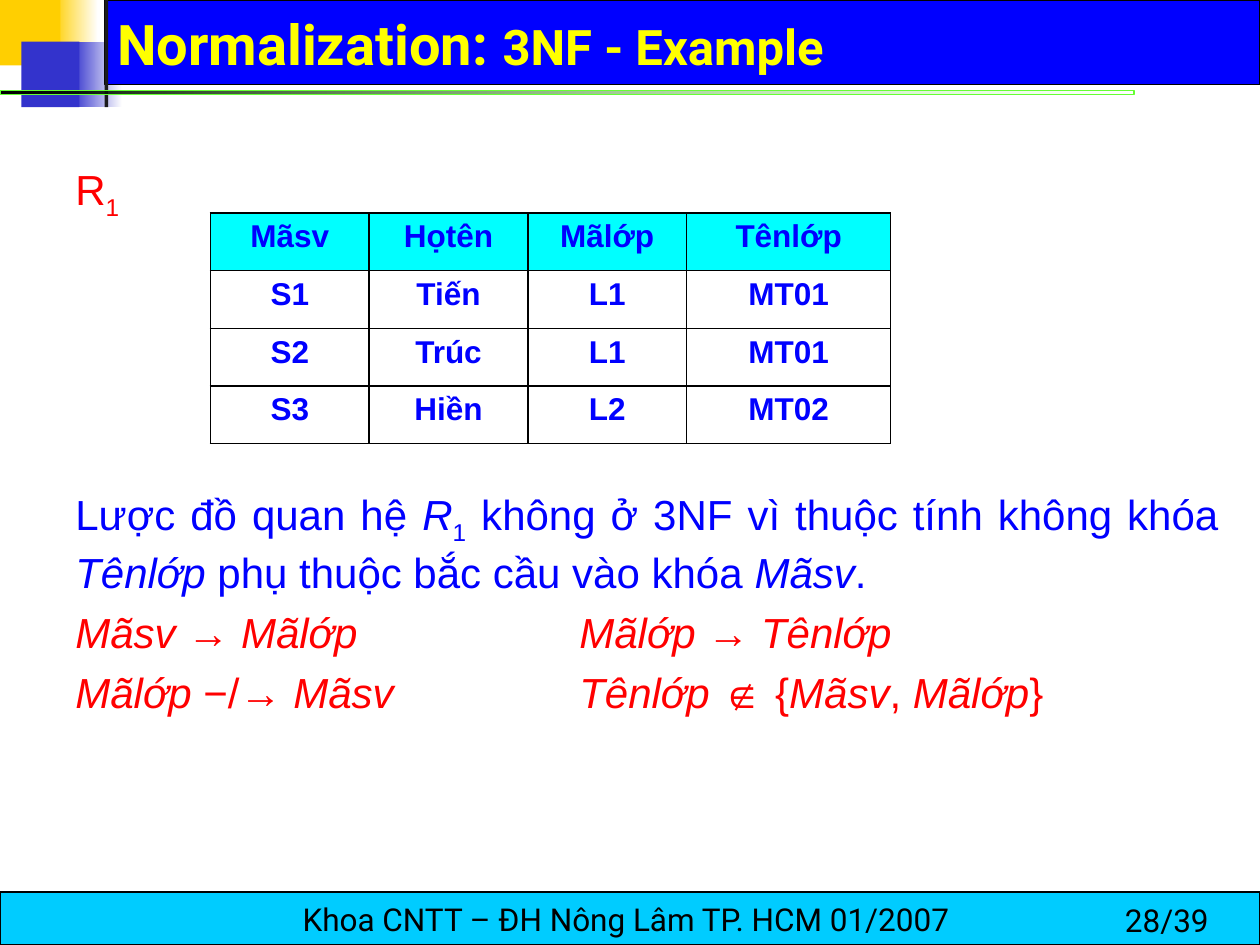
from dataclasses import dataclass
from lxml import etree
from pptx import Presentation
from pptx.dml.color import RGBColor
from pptx.enum.shapes import MSO_SHAPE
from pptx.enum.text import MSO_ANCHOR, PP_ALIGN
from pptx.oxml.ns import qn
from pptx.util import Inches, Pt

RECT = MSO_SHAPE.RECTANGLE
LEFT, MID, JUST = PP_ALIGN.LEFT, PP_ALIGN.CENTER, PP_ALIGN.JUSTIFY
LOW, HALF = MSO_ANCHOR.BOTTOM, MSO_ANCHOR.MIDDLE


@dataclass(frozen=True)
class Theme:
    gold: str = "FFCF01"
    navy: str = "3333CC"
    blue: str = "0000FF"
    cyan: str = "00FFFF"
    sky: str = "00CCFF"
    lime: str = "66FF33"
    red: str = "FF0000"
    yellow: str = "FFFF00"
    ink: str = "1C1C1C"
    black: str = "000000"
    white: str = "FFFFFF"
    head: str = "Roboto"
    body: str = "Arial"
    large: int = 32
    medium: int = 28
    normal: int = 24
    small: int = 18


T = Theme()


def rgb(code):
    return RGBColor.from_string(code)


def add_run(para, text, size, color, face, bold=False, style=""):
    """Add one run; style may hold i for italic and s for subscript."""
    run = para.add_run()
    run.text = text
    font = run.font
    font.size, font.name, font.bold = Pt(size), face, bold
    font.italic = "i" in style
    font.color.rgb = rgb(color)
    if "s" in style:
        run._r.get_or_add_rPr().set("baseline", "-25000")


def add_rect(slide, box, fill, fade=None, line=None, width=0.75):
    shape = slide.shapes.add_shape(RECT, *map(Inches, box))
    shape.shadow.inherit = False
    if fade:
        shape.fill.gradient()
        shape.fill.gradient_angle = 0
        for stop, code in zip(shape.fill.gradient_stops, (fill, fade)):
            stop.color.rgb = rgb(code)
    else:
        shape.fill.solid()
        shape.fill.fore_color.rgb = rgb(fill)
    if line:
        shape.line.color.rgb = rgb(line)
        shape.line.width = Pt(width)
    else:
        shape.line.fill.background()
    return shape


def add_text(slide, box):
    frame = slide.shapes.add_textbox(*map(Inches, box)).text_frame
    frame.word_wrap = True
    return frame


def add_head(slide, box):
    """Draw the squares, the title bar and the fading rule, then the title."""
    x, y, w, h = box
    add_rect(slide, (x + 0.42, y, 0.36, 0.52), T.gold, T.white)
    add_rect(slide, (x + 0.57, y + 0.33, 0.4, 0.52), T.navy, T.white)
    add_rect(slide, (x + 0.83, y, w - 0.83, 0.67), T.blue, line=T.black)
    add_rect(slide, (x, y, 0.48, 0.52), T.gold)
    add_rect(slide, (x + 0.17, y + 0.33, 0.46, 0.52), T.navy)
    add_rect(slide, (x + 0.83, y, 0.03, h), T.ink)
    rule = add_rect(slide, (x, y + 0.72, 9, 0.03), T.black, T.lime, T.lime, 0)
    last = rule.element.findall(".//" + qn("a:gs"))[-1]
    etree.SubElement(last[0], qn("a:alpha"), val="0")

    title = slide.shapes.title
    title.left, title.top = Inches(x + 0.83), Inches(y + 0.08)
    title.width, title.height = Inches(8.94), Inches(0.58)
    title.element.getparent().append(title.element)
    frame = title.text_frame
    frame.vertical_anchor = LOW
    para = frame.paragraphs[0]
    para.alignment = LEFT
    add_run(para, "Normalization: ", T.large, T.yellow, T.head, True)
    add_run(para, "3NF - Example", T.medium, T.yellow, T.head, True)


def add_foot(slide, box):
    x, y, w, h = box
    frame = add_rect(slide, box, T.sky, line=T.black).text_frame
    frame.word_wrap = False
    frame.vertical_anchor = HALF
    para = frame.paragraphs[0]
    para.alignment = MID
    add_run(para, "Khoa CNTT – ĐH Nông Lâm TP. HCM 01/2007 ", T.small, T.black, T.head)
    page = add_text(slide, (x + w - 1.17, y + 0.02, 1.17, h - 0.02))
    add_run(page.paragraphs[0], "28/39", T.small, T.black, T.head)


def add_label(slide, box):
    para = add_text(slide, box).paragraphs[0]
    add_run(para, "R", T.normal, T.red, T.body)
    add_run(para, "1", T.normal, T.red, T.body, style="s")


def add_edges(cell):
    props = cell._tc.get_or_add_tcPr()
    for spot, side in enumerate(("lnL", "lnR", "lnT", "lnB")):
        edge = etree.Element(qn("a:" + side), w=str(Pt(1)))
        fill = etree.SubElement(edge, qn("a:solidFill"))
        etree.SubElement(fill, qn("a:srgbClr"), val=T.black)
        props.insert(spot, edge)


def add_grid(slide, box):
    rows = (
        ("Mãsv", "Họtên", "Mãlớp", "Tênlớp"),
        ("S1", "Tiến", "L1", "MT01"),
        ("S2", "Trúc", "L1", "MT01"),
        ("S3", "Hiền", "L2", "MT02"),
    )
    size = len(rows), len(rows[0])
    table = slide.shapes.add_table(*size, *map(Inches, box)).table
    for col, width in zip(table.columns, (1.26, 1.26, 1.26, 1.62)):
        col.width = Inches(width)
    for r, row in enumerate(rows):
        for c, word in enumerate(row):
            cell = table.cell(r, c)
            cell.fill.solid()
            cell.fill.fore_color.rgb = rgb(T.white if r else T.cyan)
            add_edges(cell)
            para = cell.text_frame.paragraphs[0]
            para.alignment = MID
            add_run(para, word, T.small, T.blue, T.body, True)


def add_proof(slide, box):
    lines = (
        (T.blue, JUST, (
            ("Lược đồ quan hệ ", ""), ("R", "i"), ("1", "s"),
            (" không ở 3NF vì thuộc tính không khóa ", ""), ("Tênlớp", "i"),
            (" phụ thuộc bắc cầu vào khóa ", ""), ("Mãsv", "i"), (".", ""))),
        (T.red, LEFT, (
            ("Mãsv ", "i"), ("→ ", ""), ("Mãlớp\tMãlớp ", "i"), ("→ ", ""),
            ("Tênlớp", "i"))),
        (T.red, JUST, (
            ("Mãlớp ", "i"), ("−/→ ", ""), ("Mãsv\tTênlớp", "i"), (" ∉ {", ""),
            ("Mãsv", "i"), (", ", ""), ("Mãlớp", "i"), ("}", ""))),
    )
    frame = add_text(slide, box)
    for i, (color, align, runs) in enumerate(lines):
        para = frame.add_paragraph() if i else frame.paragraphs[0]
        para.alignment = align
        if i:
            para.space_before = Pt(5.5)
            tabs = etree.SubElement(para._p.get_or_add_pPr(), qn("a:tabLst"))
            etree.SubElement(tabs, qn("a:tab"), pos=str(Inches(4)), algn="l")
        for text, style in runs:
            add_run(para, text, T.normal, color, T.body, style=style)


def main():
    deck = Presentation()
    deck.slide_width, deck.slide_height = Inches(10), Inches(7.5)
    slide = deck.slides.add_slide(deck.slide_layouts[5])
    add_head(slide, (0, 0, 10, 0.85))
    add_foot(slide, (0, 7.08, 10, 0.42))
    add_label(slide, (0.5, 1.25, 0.67, 0.5))
    add_grid(slide, (1.67, 1.69, 5.4, 1.83))
    add_proof(slide, (0.5, 3.83, 9.27, 1.88))
    deck.save("out.pptx")


if __name__ == "__main__":
    main()
